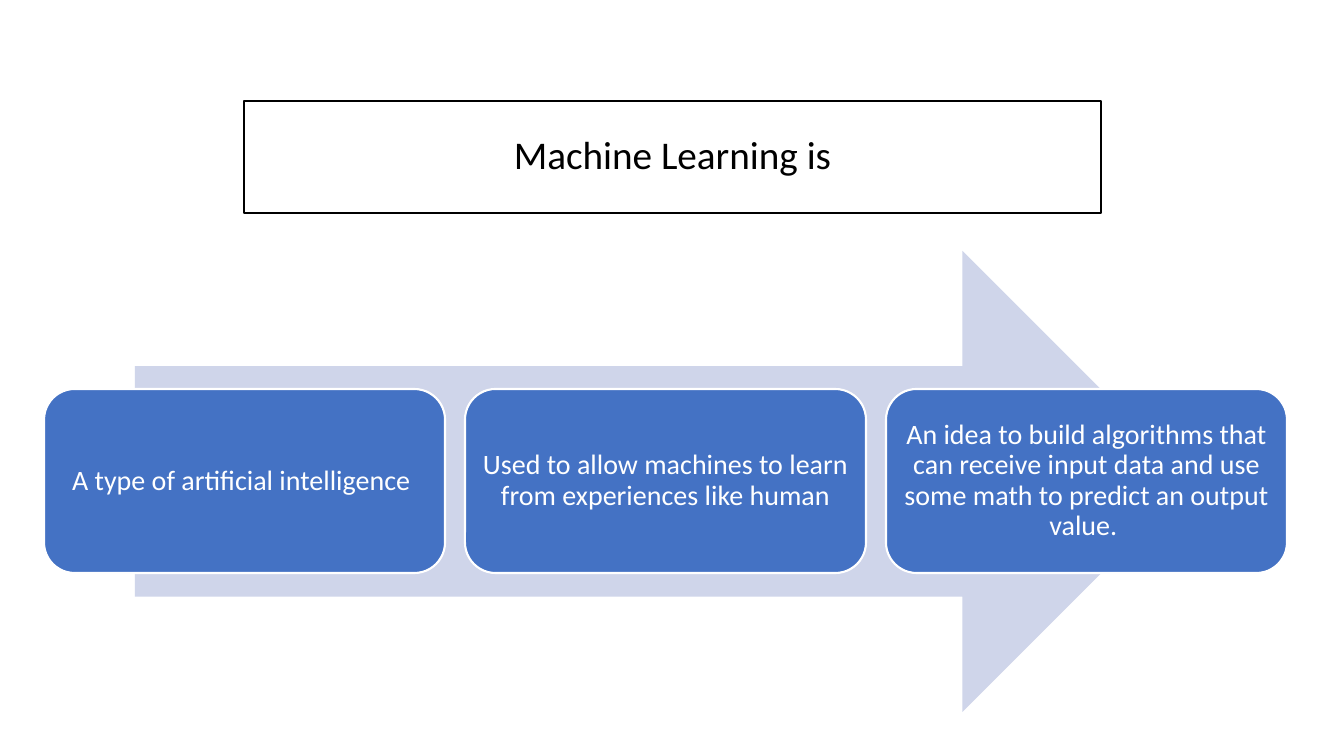
from dataclasses import dataclass

from pptx import Presentation
from pptx.dml.color import RGBColor
from pptx.enum.shapes import MSO_SHAPE as Preset
from pptx.enum.text import MSO_ANCHOR as Anchor, PP_ALIGN as Align
from pptx.shapes.autoshape import Shape
from pptx.slide import Slide
from pptx.util import Emu, Pt

SLIDE_WIDTH, SLIDE_HEIGHT = 1344, 756
EMU_PER_PX = 12192000 / SLIDE_WIDTH

BLACK = RGBColor(0x00, 0x00, 0x00)
WHITE = RGBColor(0xFF, 0xFF, 0xFF)
CARD_BLUE = RGBColor(0x44, 0x72, 0xC4)
ARROW_BLUE = RGBColor(0xCF, 0xD5, 0xEA)
FONT = "Calibri"
CARD_PADDING = 8


@dataclass(frozen=True)
class Box:
    left: int
    top: int
    width: int
    height: int


TITLE_BOX = Box(244, 101, 857, 112)
ARROW_BOX = Box(135, 251, 1058, 461)
FIRST_CARD = Box(44, 389, 401, 184)
CARD_PITCH = 421
STATEMENTS = (
    "A type of artificial intelligence ",
    "Used to allow machines to learn from experiences like human",
    "An idea to build algorithms that can receive input data and "
    "use some math to predict an output value. ",
)


def px(length: int) -> Emu:
    return Emu(round(length * EMU_PER_PX))


def place(shape: Shape, box: Box) -> None:
    shape.left, shape.top = px(box.left), px(box.top)
    shape.width, shape.height = px(box.width), px(box.height)


def paint(shape: Shape, fill: RGBColor, line: RGBColor | None = None,
          line_width: float = 0) -> None:
    shape.fill.solid()
    shape.fill.fore_color.rgb = fill
    if line is None:
        shape.line.fill.background()
    else:
        shape.line.color.rgb = line
        shape.line.width = Pt(line_width)


def write(shape: Shape, text: str, size: int, color: RGBColor) -> None:
    frame = shape.text_frame
    frame.text = text
    frame.word_wrap = True
    frame.vertical_anchor = Anchor.MIDDLE
    paragraph = frame.paragraphs[0]
    paragraph.alignment = Align.CENTER
    paragraph.line_spacing = 0.9
    paragraph.font.name = FONT
    paragraph.font.size = Pt(size)
    paragraph.font.color.rgb = color


def add_preset(slide: Slide, preset: Preset, box: Box) -> Shape:
    shape = slide.shapes.add_shape(preset, 0, 0, 0, 0)
    place(shape, box)
    shape.shadow.inherit = False
    return shape


def add_card(slide: Slide, box: Box, text: str) -> None:
    card = add_preset(slide, Preset.ROUNDED_RECTANGLE, box)
    paint(card, CARD_BLUE, WHITE, 1.5)
    write(card, text, 20, WHITE)
    frame = card.text_frame
    frame.margin_left = frame.margin_right = px(CARD_PADDING)
    frame.margin_top = frame.margin_bottom = px(CARD_PADDING)


def main() -> None:
    presentation = Presentation()
    presentation.slide_width = px(SLIDE_WIDTH)
    presentation.slide_height = px(SLIDE_HEIGHT)
    slide = presentation.slides.add_slide(presentation.slide_layouts[5])

    # Framed title
    title = slide.shapes.title
    place(title, TITLE_BOX)
    paint(title, WHITE, BLACK, 2)
    write(title, "Machine Learning is", 28, BLACK)

    # Arrow behind the cards
    arrow = add_preset(slide, Preset.RIGHT_ARROW, ARROW_BOX)
    paint(arrow, ARROW_BLUE)

    # Row of statement cards
    for index, statement in enumerate(STATEMENTS):
        left = FIRST_CARD.left + index * CARD_PITCH
        box = Box(left, FIRST_CARD.top, FIRST_CARD.width, FIRST_CARD.height)
        add_card(slide, box, statement)

    presentation.save("out.pptx")


if __name__ == "__main__":
    main()
